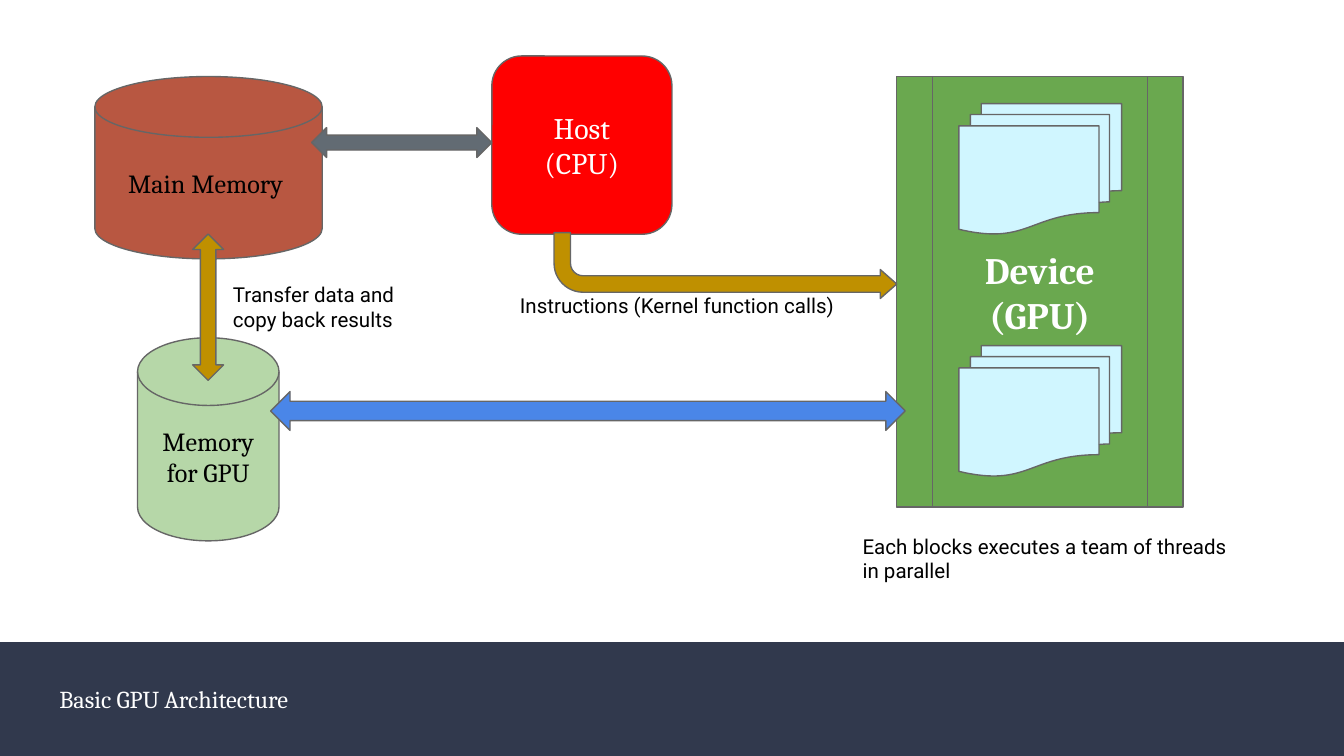
from dataclasses import dataclass

from pptx import Presentation
from pptx.dml.color import RGBColor
from pptx.enum.shapes import MSO_SHAPE
from pptx.enum.text import MSO_ANCHOR, MSO_AUTO_SIZE, PP_ALIGN
from pptx.util import Pt


@dataclass(frozen=True)
class Theme:
    band: str = "31394D"
    white: str = "FFFFFF"
    black: str = "000000"
    outline: str = "666666"
    host: str = "FF0000"
    device: str = "6AA84F"
    main_memory: str = "B85741"
    gpu_memory: str = "B6D7A8"
    transfer: str = "BF9000"
    host_bus: str = "626B73"
    gpu_bus: str = "4A86E8"
    block: str = "D0F6FF"
    serif: str = "Cambria"
    sans: str = "Roboto"
    note_size: int = 11
    title_size: int = 13
    memory_size: int = 14
    host_size: int = 16
    device_size: int = 20
    line_width: float = 0.75
    inset: float = 7.2


THEME = Theme()


@dataclass(frozen=True)
class Box:
    x: float
    y: float
    w: float
    h: float

    def emu(self):
        return Pt(self.x), Pt(self.y), Pt(self.w), Pt(self.h)


@dataclass(frozen=True)
class Node:
    kind: MSO_SHAPE
    box: Box
    fill: str
    text: str = ""
    size: int = THEME.memory_size
    color: str = THEME.black
    bold: bool = False
    adjustments: tuple = ()
    turned: bool = False


@dataclass(frozen=True)
class Note:
    box: Box
    text: str


def write(sp, text: str, *, size: int, font: str, color: str, bold: bool = False,
          align=PP_ALIGN.LEFT, anchor=MSO_ANCHOR.TOP) -> None:
    tf = sp.text_frame
    tf.word_wrap = True
    tf.vertical_anchor = anchor
    tf.margin_left = tf.margin_right = Pt(THEME.inset)
    tf.margin_top = tf.margin_bottom = Pt(THEME.inset)
    for i, line in enumerate(text.split("\n")):
        p = tf.paragraphs[0] if i == 0 else tf.add_paragraph()
        p.alignment = align
        r = p.add_run()
        r.text = line
        r.font.size = Pt(size)
        r.font.name = font
        r.font.bold = bold
        r.font.color.rgb = RGBColor.from_string(color)


def draw_node(s, node: Node) -> None:
    sp = s.shapes.add_shape(node.kind, *node.box.emu())
    sp.shadow.inherit = False
    sp.fill.solid()
    sp.fill.fore_color.rgb = RGBColor.from_string(node.fill)
    sp.line.color.rgb = RGBColor.from_string(THEME.outline)
    sp.line.width = Pt(THEME.line_width)
    for i, value in enumerate(node.adjustments):
        sp.adjustments[i] = value
    if node.turned:
        sp.rotation = 180
        sp._element.spPr.xfrm.set("flipH", "1")
    if node.text:
        write(sp, node.text, size=node.size, font=THEME.serif, color=node.color,
              bold=node.bold, align=PP_ALIGN.CENTER, anchor=MSO_ANCHOR.MIDDLE)


def draw_note(s, note: Note) -> None:
    sp = s.shapes.add_textbox(*note.box.emu())
    write(sp, note.text, size=THEME.note_size, font=THEME.sans, color=THEME.black)
    sp.text_frame.auto_size = MSO_AUTO_SIZE.SHAPE_TO_FIT_TEXT


def draw_footer(s) -> None:
    band = s.shapes.add_shape(MSO_SHAPE.RECTANGLE, *Box(0, 344, 720, 61).emu())
    band.shadow.inherit = False
    band.fill.solid()
    band.fill.fore_color.rgb = RGBColor.from_string(THEME.band)
    band.line.fill.background()
    title = s.shapes.add_textbox(*Box(24.8, 356.3, 628.5, 36).emu())
    write(title, "Basic GPU Architecture", size=THEME.title_size, font=THEME.serif,
          color=THEME.white, anchor=MSO_ANCHOR.MIDDLE)


NODES = [
    Node(MSO_SHAPE.ROUNDED_RECTANGLE, Box(263.5, 30, 96.5, 95.5), THEME.host,
         "Host\n(CPU)", THEME.host_size, THEME.white),
    Node(MSO_SHAPE.FLOWCHART_PREDEFINED_PROCESS, Box(480.3, 41, 153.5, 230.7),
         THEME.device, "Device\n(GPU)", THEME.device_size, THEME.white, True),
    Node(MSO_SHAPE.FLOWCHART_MAGNETIC_DISK, Box(50.8, 41, 121.8, 97.7),
         THEME.main_memory, "Main Memory "),
    Node(MSO_SHAPE.FLOWCHART_MAGNETIC_DISK, Box(73.7, 181, 75.8, 108.8),
         THEME.gpu_memory, "Memory for GPU"),
    Node(MSO_SHAPE.UP_DOWN_ARROW, Box(103.2, 125.4, 16.6, 78.4), THEME.transfer,
         adjustments=(0.5, 0.5)),
    Node(MSO_SHAPE.BENT_ARROW, Box(296.8, 124.6, 183.6, 35.3), THEME.transfer,
         adjustments=(0.25, 0.22, 0.25, 0.44), turned=True),
    Node(MSO_SHAPE.LEFT_RIGHT_ARROW, Box(167, 68.4, 96.5, 16), THEME.host_bus),
    Node(MSO_SHAPE.LEFT_RIGHT_ARROW, Box(145, 209.8, 340, 20.8), THEME.gpu_bus),
    *(Node(MSO_SHAPE.FLOWCHART_MULTIDOCUMENT, Box(513.7, y, 87.2, 70), THEME.block)
      for y in (55.5, 185.2)),
]

NOTES = [
    Note(Box(271.4, 150.5, 183.6, 28), "Instructions (Kernel function calls)"),
    Note(Box(117.7, 144, 104.4, 41), "Transfer data and copy back results"),
    Note(Box(455, 278.8, 214.6, 41),
         "Each blocks executes a team of threads in parallel"),
]


def main() -> None:
    prs = Presentation()
    prs.slide_width, prs.slide_height = Pt(720), Pt(405)
    s = prs.slides.add_slide(prs.slide_layouts[6])
    draw_footer(s)
    for node in NODES:
        draw_node(s, node)
    for note in NOTES:
        draw_note(s, note)
    prs.save("out.pptx")


if __name__ == "__main__":
    main()
